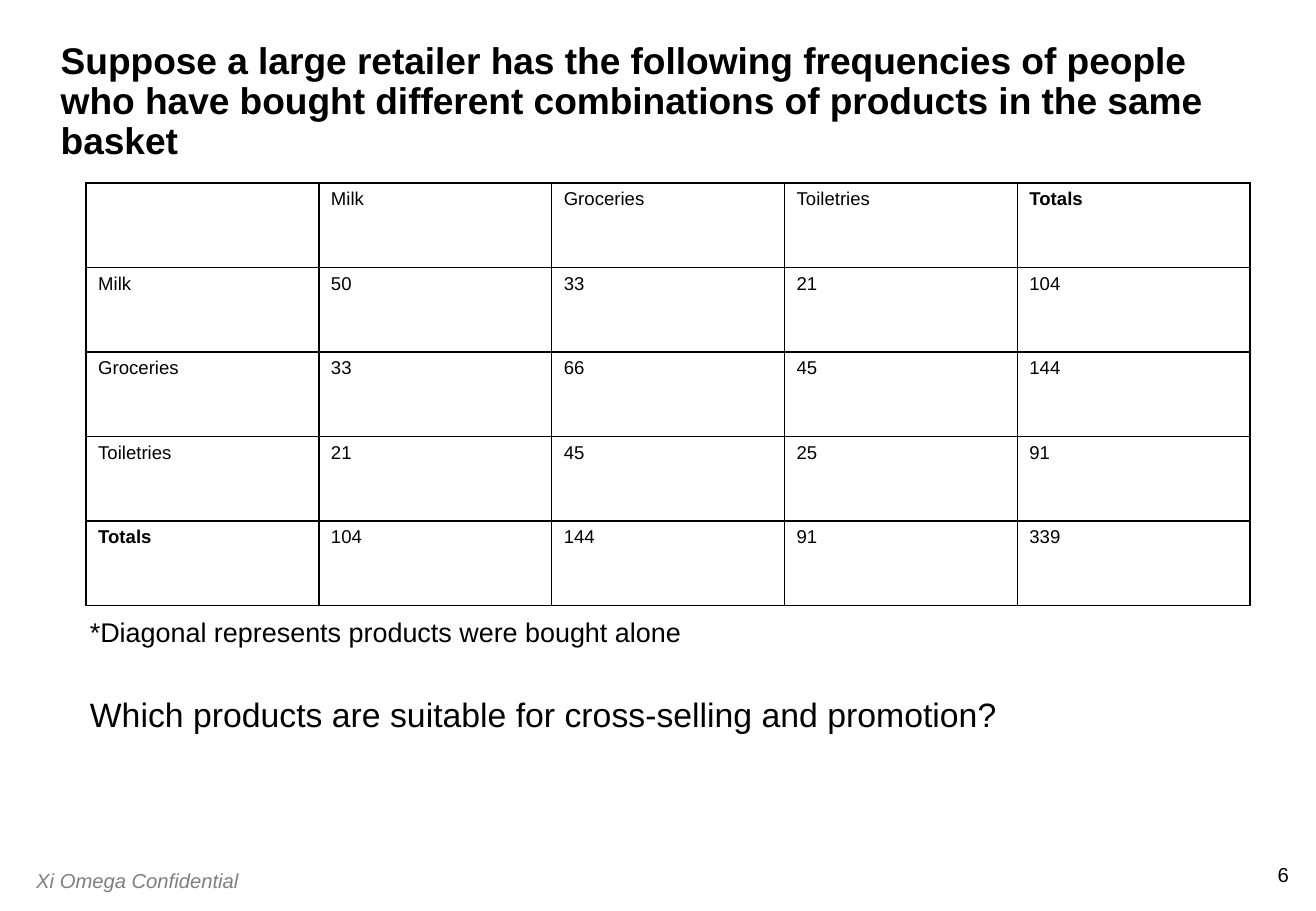
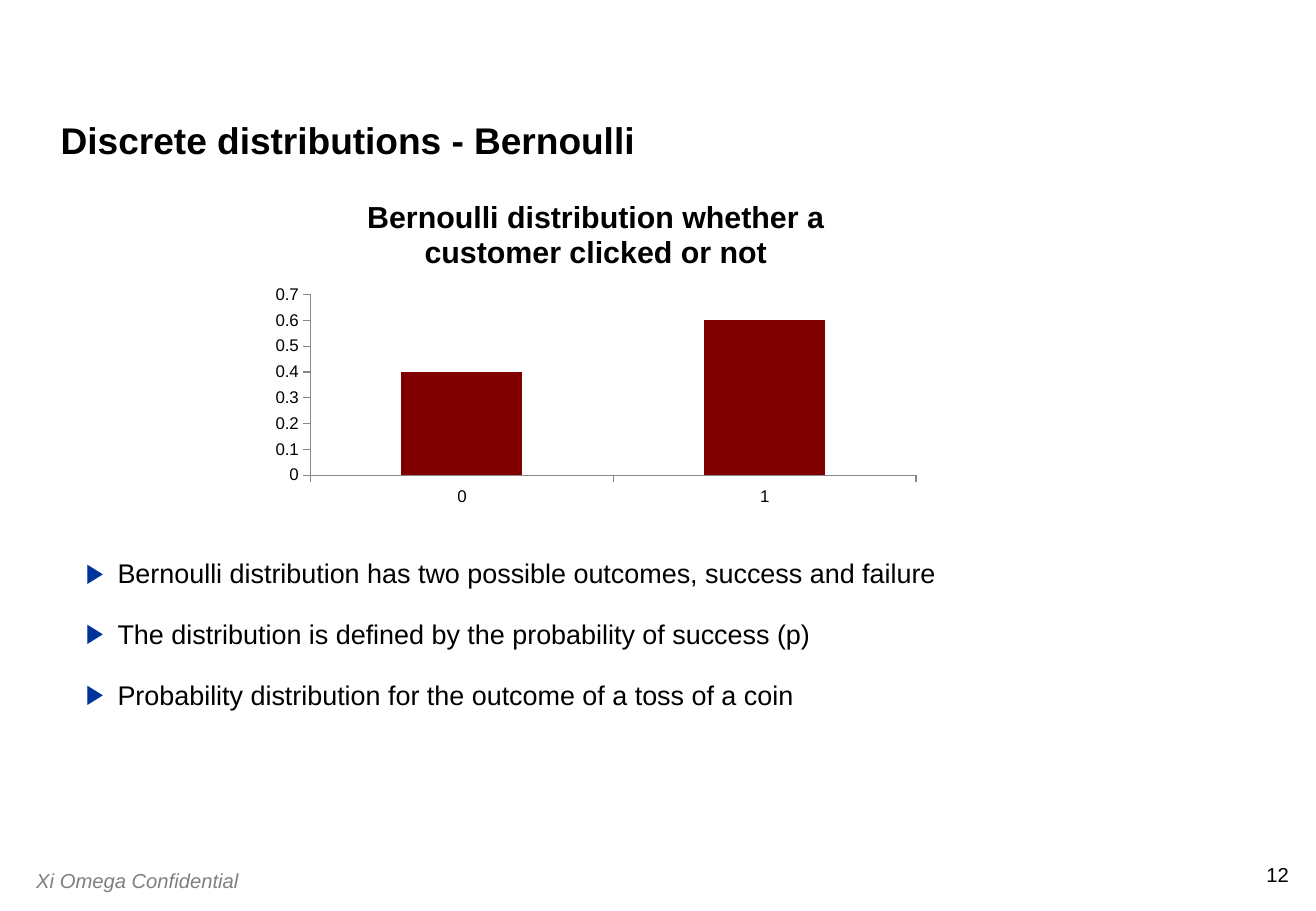
"""Build two statistics slides: a basket frequency table and a Bernoulli chart."""
import pptx
import pptx.chart.data
import pptx.dml.color
import pptx.enum.chart
import pptx.enum.text
import pptx.oxml
import pptx.oxml.ns
import pptx.util

Pt = pptx.util.Pt
RGB = pptx.dml.color.RGBColor.from_string
ALIGN = pptx.enum.text.PP_ALIGN
ANCHOR = pptx.enum.text.MSO_ANCHOR
FONT = "Arial"
COLORS = {"text": "000000", "footer": "808080", "bullet": "003399",
          "bar": "800000", "axis": "868686", "border": "000000"}
NS = pptx.oxml.ns.nsdecls("a")


def style_font(font, size, color="text", bold=False, italic=False):
    font.name, font.size, font.bold, font.italic = FONT, Pt(size), bold, italic
    font.color.rgb = RGB(COLORS[color])


def add_text(s, box, text, size, inset=(0, 0), **look):
    sp = s.shapes.add_textbox(*map(Pt, box))
    tf = sp.text_frame
    tf.word_wrap = True
    tf.margin_left = tf.margin_right = Pt(inset[0])
    tf.margin_top = tf.margin_bottom = Pt(inset[1])
    tf.text = text
    for p in tf.paragraphs:
        for r in p.runs:
            style_font(r.font, size, **look)
    return tf


prs = pptx.Presentation()
prs.slide_width, prs.slide_height = Pt(780), Pt(540)

pages = [
    ("6", "Suppose a large retailer has the following frequencies of people who have "
          "bought different combinations of products in the same basket"),
    ("12", "Discrete distributions - Bernoulli"),
]
slides = []
for number, title in pages:
    s = prs.slides.add_slide(prs.slide_layouts[6])
    slides.append(s)
    tf = add_text(s, (748.8, 511.2, 15.2, 14.4), number, 12)
    tf.word_wrap = False
    tf.paragraphs[0].alignment = ALIGN.RIGHT
    add_text(s, (14.4, 511.2, 144, 21.6), "Xi Omega Confidential", 12,
             inset=(7.2, 3.6), color="footer", italic=True)
    tf = add_text(s, (36, 30, 708, 66.5), title, 22, bold=True)
    tf.vertical_anchor = ANCHOR.BOTTOM
    tf.paragraphs[0].line_spacing = 0.9

basket_slide, bernoulli_slide = slides

rows = [
    ["", "Milk", "Groceries", "Toiletries", "Totals"],
    ["Milk", "50", "33", "21", "104"],
    ["Groceries", "33", "66", "45", "144"],
    ["Toiletries", "21", "45", "25", "91"],
    ["Totals", "104", "144", "91", "339"],
]
col_width, row_height = 138, 50.1
table = basket_slide.shapes.add_table(
    len(rows), len(rows[0]), Pt(51), Pt(108.5),
    Pt(col_width * len(rows[0])), Pt(row_height * len(rows))).table
table.first_row = table.horz_banding = False
for col in table.columns:
    col.width = Pt(col_width)
for row, values in zip(table.rows, rows):
    row.height = Pt(row_height)
    for cell, value in zip(row.cells, values):
        cell.text = value
        for r in cell.text_frame.paragraphs[0].runs:
            style_font(r.font, 11, bold=value == "Totals")
        tcPr = cell._tc.get_or_add_tcPr()
        for side in ("lnL", "lnR", "lnT", "lnB"):
            tcPr.append(pptx.oxml.parse_xml(
                f'<a:{side} {NS} w="{Pt(1)}"><a:solidFill>'
                f'<a:srgbClr val="{COLORS["border"]}"/></a:solidFill></a:{side}>'))
        cell.fill.background()

add_text(basket_slide, (53.3, 365, 690, 46),
         "*Diagonal represents products were bought alone", 16)
add_text(basket_slide, (53.3, 411, 690, 46),
         "Which products are suitable for cross-selling and promotion?", 20)

data = pptx.chart.data.CategoryChartData()
data.categories = ["0", "1"]
data.add_series("Series 1", [0.4, 0.6])
chart = bernoulli_slide.shapes.add_chart(
    pptx.enum.chart.XL_CHART_TYPE.COLUMN_CLUSTERED,
    Pt(155.5), Pt(106), Pt(395.3), Pt(198), data).chart
style_font(chart.font, 10)
chart.has_legend = False
chart.has_title = True
tf = chart.chart_title.text_frame
tf.text = "Bernoulli distribution whether a customer clicked or not"
style_font(tf.paragraphs[0].runs[0].font, 18, bold=True)
chart.chart_title.include_in_layout = False
for axis in (chart.category_axis, chart.value_axis):
    axis.has_major_gridlines = False
    axis.major_tick_mark = pptx.enum.chart.XL_TICK_MARK.OUTSIDE
    axis.format.line.color.rgb = RGB(COLORS["axis"])
    axis.format.line.width = Pt(0.75)
chart.value_axis.minimum_scale = 0
chart.value_axis.maximum_scale = 0.7
chart.value_axis.major_unit = 0.1
plot = chart.plots[0]
plot.gap_width = 150
plot.vary_by_categories = False
fill = plot.series[0].format.fill
fill.solid()
fill.fore_color.rgb = RGB(COLORS["bar"])

points = [
    "Bernoulli distribution has two possible outcomes, success and failure",
    "The distribution is defined by the probability of success (p)",
    "Probability distribution for the outcome of a toss of a coin",
]
tf = add_text(bernoulli_slide, (51, 330, 690, 90), "\n".join(points), 16)
for i, p in enumerate(tf.paragraphs):
    pPr = p._p.get_or_add_pPr()
    pPr.set("marL", str(Pt(18.7)))
    pPr.set("indent", str(-Pt(18.7)))
    for xml in (f'<a:buClr {NS}><a:srgbClr val="{COLORS["bullet"]}"/></a:buClr>',
                f'<a:buFont {NS} typeface="{FONT}"/>',
                f'<a:buChar {NS} char="▶"/>'):
        pPr.append(pptx.oxml.parse_xml(xml))
    if i:
        p.space_before = Pt(16.8)

prs.save("out.pptx")
